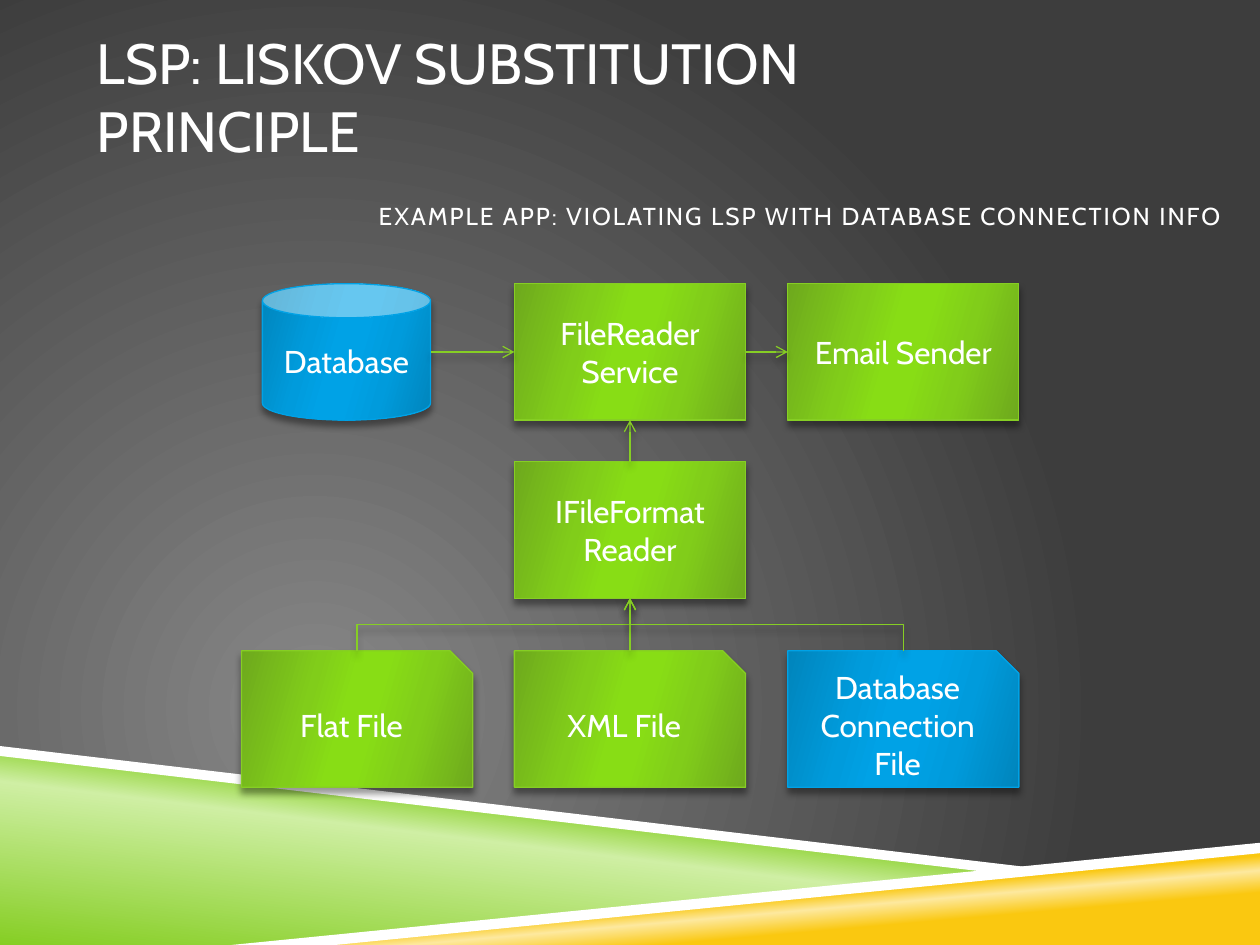
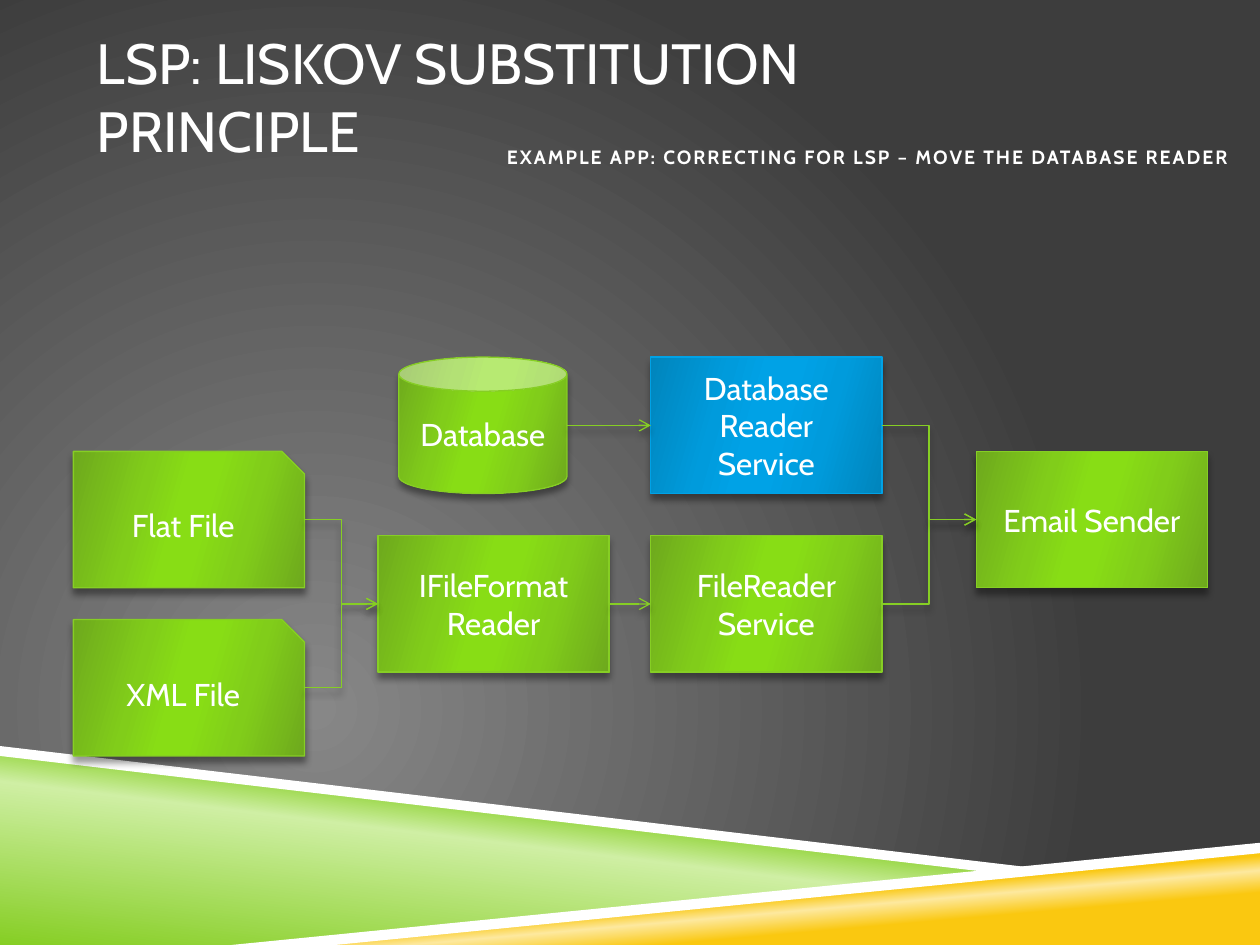
"""Build two slides on the Liskov substitution principle with class diagrams."""
from lxml import etree
from pptx import Presentation
from pptx import util as u
from pptx.dml.color import RGBColor
from pptx.enum import shapes, text
from pptx.oxml import parse_xml
from pptx.oxml.ns import nsdecls, qn

COLOURS = {
    "white": "FFFFFF", "black": "000000",
    "glow": "878787", "night": "3D3D3D",
    "green": "86CE24", "green_pale": "CFEFA4",
    "green_edge": "6EA91D", "green_mid": "81CD1A", "green_core": "88DD15",
    "yellow": "FAC810", "yellow_pale": "FDE99F",
    "blue": "00A2E6", "blue_edge": "0085BC", "blue_mid": "009BDC", "blue_core": "00A2E6",
}
RADIAL = '<a:path path="circle"><a:fillToRect l="50000" t="100000" r="100000" b="50000"/></a:path>'
LINEAR = '<a:lin ang="{}" scaled="0"/>'
SHADOW = (f'<a:effectLst {nsdecls("a")}><a:outerShdw blurRad="50800" dist="41910" dir="5400000" '
          f'rotWithShape="0"><a:srgbClr val="{COLOURS["black"]}"><a:alpha val="40000"/></a:srgbClr>'
          '</a:outerShdw></a:effectLst>')
BOX_FILL = [(0, "edge"), (30, "mid"), (45, "core"), (55, "core"), (73, "mid"), (100, "edge")]
BOX_W, BOX_H, CAN_W = 4.66, 2.75, 3.39

TITLE = "LSP: LISKOV SUBSTITUTION PRINCIPLE"
TITLE_FONT = {"size": u.Pt(32.4), "name": "Cabin", "bold": False}
BOX_FONT = {"size": u.Pt(18), "name": "Cabin"}
TITLE_FRAME = {"vertical_anchor": text.MSO_ANCHOR.TOP, "word_wrap": True,
               "auto_size": text.MSO_AUTO_SIZE.NONE}
BOX_FRAME = {"vertical_anchor": text.MSO_ANCHOR.MIDDLE, "word_wrap": True}
SUBTITLE_FRAME = {"vertical_anchor": text.MSO_ANCHOR.BOTTOM, "word_wrap": True,
                  "margin_left": 0, "margin_right": 0, "margin_bottom": 0}

BANDS = [
    ([(0, 15.16), (20.12, 17.58), (5.08, 19.05), (0, 19.05)],
     [(0, "green"), (52, "green_pale"), (66, "green")], 277),
    ([(5.03, 19.05), (25.4, 17.07), (25.4, 19.05)],
     [(28, "yellow"), (40, "yellow_pale"), (48, "yellow")], 265),
    ([(0, 15.04), (0, 15.24), (20.07, 17.6), (21.13, 17.53)], None, 0),
    ([(25.4, 16.99), (4.67, 19.05), (6.76, 19.05), (25.4, 17.2)], None, 0),
]

RECT = shapes.MSO_SHAPE.RECTANGLE
FILE = shapes.MSO_SHAPE.SNIP_1_RECTANGLE
CAN = shapes.MSO_SHAPE.CAN
EMAIL, READER, FORMAT = "Email Sender", "FileReader\nService", "IFileFormat Reader"
DB, DB_FILE, DB_READER = "Database", "Database Connection File", "Database\nReader\nService"
FLAT, XML = "Flat File", "XML File"
ACROSS, UP = "across", "up"

SLIDES = [
    {"subtitle": "EXAMPLE APP: VIOLATING LSP WITH DATABASE CONNECTION INFO ",
     "subtitle_at": (3.18, 1.47),
     "subtitle_font": {"size": u.Pt(14), "name": "Cabin"},
     "boxes": [(EMAIL, RECT, "green", 15.88, 5.72), (FLAT, FILE, "green", 4.87, 13.12),
               (XML, FILE, "green", 10.37, 13.12), (FORMAT, RECT, "green", 10.37, 9.31),
               (READER, RECT, "green", 10.37, 5.72), (DB_FILE, FILE, "blue", 15.88, 13.12),
               (DB, CAN, "blue", 5.29, 5.72)],
     "links": [(FLAT, FORMAT, UP), (XML, FORMAT, UP), (DB_FILE, FORMAT, UP),
               (FORMAT, READER, UP), (READER, EMAIL, ACROSS), (DB, READER, ACROSS)]},
    {"subtitle": "EXAMPLE APP: CORRECTING FOR LSP – MOVE THE DATABASE READER",
     "subtitle_at": (2.54, 0.85),
     "subtitle_font": {"size": u.Pt(11), "name": "Cabin", "bold": True},
     "boxes": [(EMAIL, RECT, "green", 19.68, 9.1), (FLAT, FILE, "green", 1.48, 9.1),
               (XML, FILE, "green", 1.48, 12.49), (FORMAT, RECT, "green", 7.62, 10.8),
               (READER, RECT, "green", 13.12, 10.8), (DB, CAN, "green", 8.04, 7.2),
               (DB_READER, RECT, "blue", 13.12, 7.2)],
     "links": [(FLAT, FORMAT, ACROSS), (XML, FORMAT, ACROSS), (FORMAT, READER, ACROSS),
               (READER, EMAIL, ACROSS), (DB, DB_READER, ACROSS), (DB_READER, EMAIL, ACROSS)]},
]


def paint(fill, holder, stops, shade):
    """Give the holder of a fill a gradient with the named colour stops."""
    fill.solid()
    marks = "".join(f'<a:gs pos="{pos * 1000}"><a:srgbClr val="{COLOURS[name]}"/></a:gs>'
                    for pos, name in stops)
    gradient = parse_xml(f'<a:gradFill {nsdecls("a")} rotWithShape="1">'
                         f'<a:gsLst>{marks}</a:gsLst>{shade}</a:gradFill>')
    holder.replace(holder.find(qn("a:solidFill")), gradient)


def write(frame, words, frame_format, font_format, align):
    """Fill a text frame with white text in the given formats."""
    frame.text = words
    for key, value in frame_format.items():
        setattr(frame, key, value)
    for paragraph in frame.paragraphs:
        paragraph.alignment = align
        for run in paragraph.runs:
            for key, value in font_format.items():
                setattr(run.font, key, value)
            run.font.color.rgb = RGBColor.from_string(COLOURS["white"])


deck = Presentation()
deck.slide_width, deck.slide_height = u.Cm(25.4), u.Cm(19.05)
layout = deck.slide_layouts[5]
pages = [deck.slides.add_slide(layout) for _ in SLIDES]

backdrop = layout.background.fill
backdrop.solid()
paint(backdrop, layout.element.find(".//" + qn("p:bgPr")), [(0, "glow"), (100, "night")], RADIAL)

for corners, stops, angle in BANDS:
    points = [(u.Cm(x), u.Cm(y)) for x, y in corners]
    outline = pages[0].shapes.build_freeform(*points[0])
    outline.add_line_segments(points[1:], close=True)
    band = outline.convert_to_shape()
    band.shadow.inherit = False
    band.line.fill.background()
    if stops:
        paint(band.fill, band.element.spPr, stops, LINEAR.format(angle * 60000))
    else:
        band.fill.solid()
        band.fill.fore_color.rgb = RGBColor.from_string(COLOURS["white"])
    layout.shapes.element.append(band.element)

for page, content in zip(pages, SLIDES):
    title = page.shapes.title
    title.left, title.top, title.width, title.height = (u.Cm(n) for n in (1.7, 0.43, 20.12, 1.91))
    write(title.text_frame, TITLE, TITLE_FRAME, TITLE_FONT, text.PP_ALIGN.LEFT)

    top, height = content["subtitle_at"]
    subtitle = page.shapes.add_textbox(u.Cm(0.64), u.Cm(top), u.Cm(24.13), u.Cm(height))
    write(subtitle.text_frame, content["subtitle"], SUBTITLE_FRAME,
          content["subtitle_font"], text.PP_ALIGN.RIGHT)
    subtitle.text_frame.paragraphs[0].runs[0].font._element.set("spc", "110")

    parts = {}
    for label, kind, hue, left, top in content["boxes"]:
        width = CAN_W if kind == CAN else BOX_W
        part = page.shapes.add_shape(kind, u.Cm(left), u.Cm(top), u.Cm(width), u.Cm(BOX_H))
        paint(part.fill, part.element.spPr,
              [(pos, f"{hue}_{tone}") for pos, tone in BOX_FILL], LINEAR.format(16 * 60000))
        part.line.color.rgb = RGBColor.from_string(COLOURS[hue])
        part.line.width = u.Pt(0.75)
        part.element.spPr.append(parse_xml(SHADOW))
        write(part.text_frame, label, BOX_FRAME, BOX_FONT, text.PP_ALIGN.CENTER)
        parts[label] = part

    for source, target, way in content["links"]:
        a, b = parts[source], parts[target]
        if way == UP:
            x1, y1 = a.left + a.width // 2, a.top
            x2, y2 = b.left + b.width // 2, b.top + b.height
            sides = 0, 2
        else:
            x1, y1 = a.left + a.width, a.top + a.height // 2
            x2, y2 = b.left, b.top + b.height // 2
            sides = 3, 1
        straight = x1 == x2 or y1 == y2
        turned = way == UP and not straight
        if turned:
            mid_x, mid_y = (x1 + x2) // 2, (y1 + y2) // 2
            reach, rise = (x2 - x1) // 2, (y1 - y2) // 2
            x1, y1, x2, y2 = mid_x - rise, mid_y - reach, mid_x + rise, mid_y + reach
        bend = shapes.MSO_CONNECTOR.STRAIGHT if straight else shapes.MSO_CONNECTOR.ELBOW
        link = page.shapes.add_connector(bend, x1, y1, x2, y2)
        if straight and a.auto_shape_type == RECT:
            link.begin_connect(a, sides[0])
        if straight and b.auto_shape_type == RECT:
            link.end_connect(b, sides[1])
        link.line.color.rgb = RGBColor.from_string(COLOURS["green"])
        link.line.width = u.Pt(0.75)
        frame = link._element.spPr
        if turned:
            frame.find(qn("a:xfrm")).set("rot", str(270 * 60000))
        etree.SubElement(frame.find(qn("a:ln")), qn("a:tailEnd"), type="arrow")
        frame.append(parse_xml(SHADOW))

deck.save("out.pptx")
